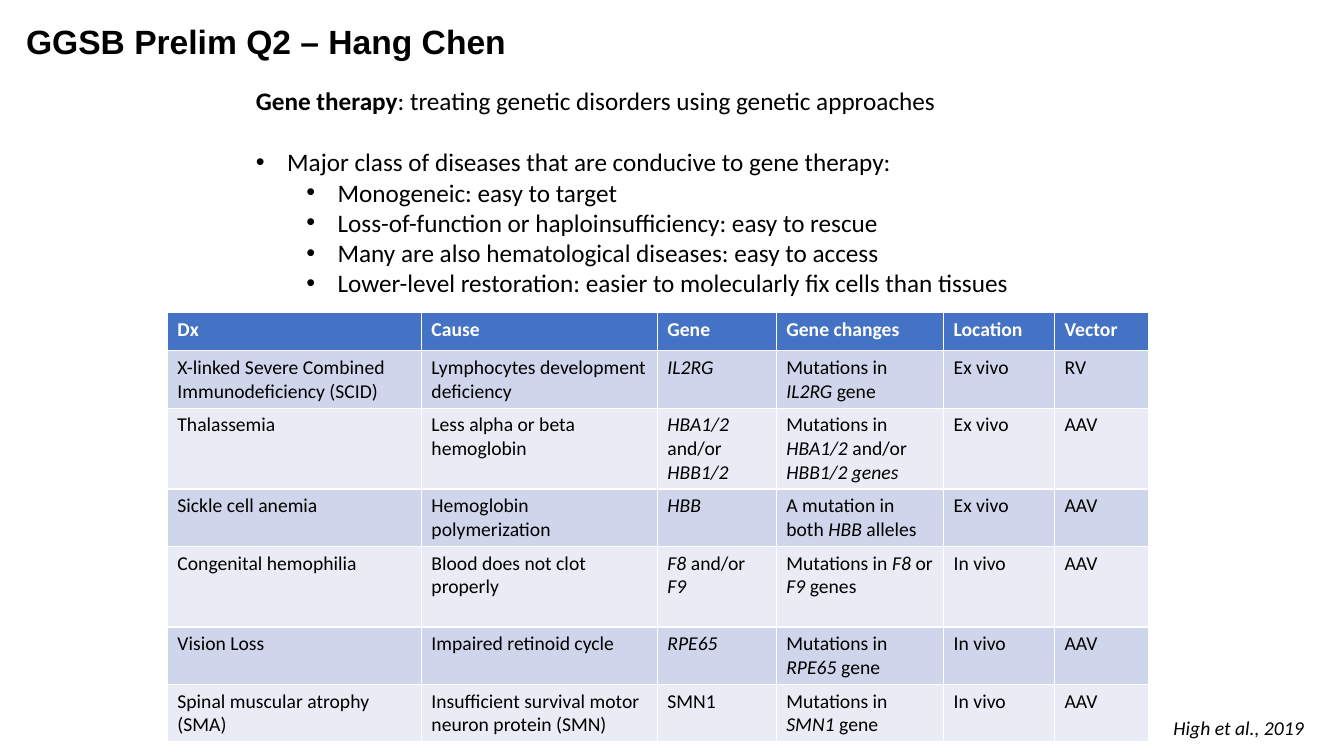
"""Builds a slide on gene therapy with a table of conducive diseases."""
from lxml import etree
from pptx import Presentation
from pptx.dml.color import RGBColor
from pptx.oxml.ns import qn
from pptx.util import Inches, Pt

BLACK, WHITE = "000000", "FFFFFF"
HEADER_FILL = "4472C4"
BAND_FILLS = ("CFD5EA", "E9EBF5")
COLUMN_WIDTHS = (2.52, 2.34, 1.18, 1.66, 1.1, 0.93)
ROW_HEIGHTS = (0.38, 0.57, 0.8, 0.57, 0.8, 0.57, 0.57)
DISEASES = (
    ("Dx", "Cause", "Gene", "Gene changes", "Location", "Vector"),
    ("X-linked Severe Combined Immunodeficiency (SCID)",
     "Lymphocytes development deficiency",
     "*IL2RG*", "Mutations in *IL2RG* gene", "Ex vivo", "RV"),
    ("Thalassemia", "Less alpha or beta hemoglobin",
     "*HBA1/2* and/or *HBB1/2*",
     "Mutations in *HBA1/2* and/or *HBB1/2 genes*", "Ex vivo", "AAV"),
    ("Sickle cell anemia", "Hemoglobin polymerization",
     "*HBB*", "A mutation in both *HBB* alleles", "Ex vivo", "AAV"),
    ("Congenital hemophilia", "Blood does not clot properly",
     "*F8* and/or *F9*", "Mutations in *F8* or *F9* genes", "In vivo", "AAV"),
    ("Vision Loss", "Impaired retinoid cycle",
     "*RPE65*", "Mutations in *RPE65* gene", "In vivo", "AAV"),
    ("Spinal muscular atrophy (SMA)",
     "Insufficient survival motor neuron protein (SMN)",
     "SMN1", "Mutations in *SMN1* gene", "In vivo", "AAV"),
)
REASONS = (
    "Monogeneic: easy to target",
    "Loss-of-function or haploinsufficiency: easy to rescue",
    "Many are also hematological diseases: easy to access",
    "Lower-level restoration: easier to molecularly fix cells than tissues",
)


def color(value):
    """Return the colour for a hex string."""
    return RGBColor.from_string(value)


def write(para, text, size, font="Calibri", fill=BLACK, bold=False):
    """Fill a paragraph, setting the parts between asterisks in italics."""
    for index, part in enumerate(text.split("*")):
        if part:
            span = para.add_run()
            span.text = part
            span.font.name = font
            span.font.size = Pt(size)
            span.font.bold = bold
            span.font.italic = index % 2 == 1
            span.font.color.rgb = color(fill)


def add_bullet(para, level):
    """Give a paragraph a hanging bullet at the given level."""
    para.level = level
    properties = para._p.get_or_add_pPr()
    properties.set("marL", str(Inches(0.31 + 0.5 * level)))
    properties.set("indent", str(-Inches(0.31)))
    etree.SubElement(properties, qn("a:buFont"), typeface="Arial")
    etree.SubElement(properties, qn("a:buChar"), char="•")


def add_text(page, left, top, width, height):
    """Add a wrapping text box and return its text frame."""
    box = page.shapes.add_textbox(
        Inches(left), Inches(top), Inches(width), Inches(height))
    box.text_frame.word_wrap = True
    return box.text_frame


def add_summary(page):
    """Add the definition and the bulleted reasons."""
    frame = add_text(page, 2.44, 0.8, 8.16, 2.22)
    definition = frame.paragraphs[0]
    definition.space_after = Pt(22)
    write(definition, "Gene therapy", 18, bold=True)
    write(definition,
          ": treating genetic disorders using genetic approaches", 18)
    claim = "Major class of diseases that are conducive to gene therapy:"
    for index, text in enumerate((claim, *REASONS)):
        para = frame.add_paragraph()
        add_bullet(para, min(index, 1))
        write(para, text, 18)


def add_disease_table(page):
    """Add the banded table of diseases."""
    table = page.shapes.add_table(
        len(DISEASES), len(COLUMN_WIDTHS), Inches(1.66), Inches(3.1),
        Inches(sum(COLUMN_WIDTHS)), Inches(sum(ROW_HEIGHTS))).table
    for column, width in zip(table.columns, COLUMN_WIDTHS):
        column.width = Inches(width)
    for index, (row, texts) in enumerate(zip(table.rows, DISEASES)):
        row.height = Inches(ROW_HEIGHTS[index])
        header = index == 0
        for cell, text in zip(row.cells, texts):
            cell.fill.solid()
            cell.fill.fore_color.rgb = color(
                HEADER_FILL if header else BAND_FILLS[(index - 1) % 2])
            write(cell.text_frame.paragraphs[0], text, 14,
                  fill=WHITE if header else BLACK, bold=header)


def main():
    """Build and save the deck."""
    deck = Presentation()
    deck.slide_width, deck.slide_height = Inches(13.33), Inches(7.5)
    page = deck.slides.add_slide(deck.slide_layouts[6])
    add_summary(page)
    add_disease_table(page)
    title = add_text(page, 0.16, 0.16, 5.88, 0.5)
    write(title.paragraphs[0], "GGSB Prelim Q2 – Hang Chen", 24,
          font="Arial", bold=True)
    citation = add_text(page, 11.54, 7.05, 1.65, 0.34)
    write(citation.paragraphs[0], "*High et al., 2019*", 14)
    deck.save("out.pptx")


if __name__ == "__main__":
    main()
